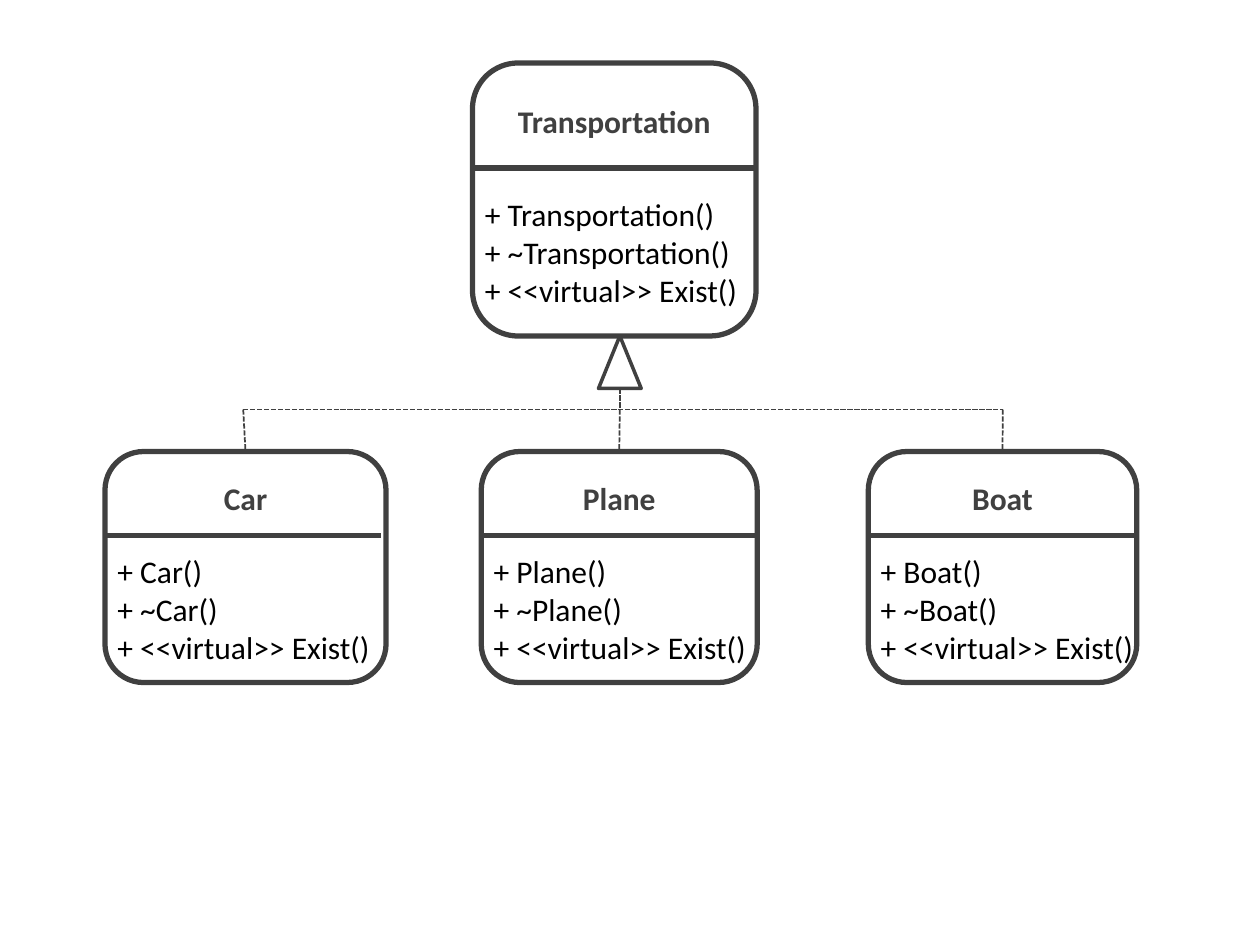
from pptx import Presentation
from pptx.dml.color import RGBColor
from pptx.enum.dml import MSO_LINE as Dash
from pptx.enum.shapes import MSO_CONNECTOR as Conn, MSO_SHAPE as Kind
from pptx.enum.text import MSO_AUTO_SIZE as Fit, PP_ALIGN as Align
from pptx.oxml.ns import qn
from pptx.util import Pt
from lxml import etree

DARK = "404040"
BLACK = "000000"


def paint(hue):
    return RGBColor.from_string(hue)


def outline(item, width):
    item.line.color.rgb = paint(DARK)
    item.line.width = Pt(width)


def add_shape(slide, kind, x, y, w, h, width):
    shape = slide.shapes.add_shape(kind, Pt(x), Pt(y), Pt(w), Pt(h))
    shape.shadow.inherit = False
    shape.fill.background()
    outline(shape, width)
    return shape


def add_line(slide, x1, y1, x2, y2, width=1, dash=Dash.SQUARE_DOT):
    line = slide.shapes.add_connector(Conn.STRAIGHT, Pt(x1), Pt(y1), Pt(x2), Pt(y2))
    outline(line, width)
    line.line.dash_style = dash
    etree.SubElement(line._element.spPr, qn("a:effectLst"))
    return line


def add_text(slide, text, x, y, w, h, hue, align, bold, wrap):
    frame = slide.shapes.add_textbox(Pt(x), Pt(y), Pt(w), Pt(h)).text_frame
    frame.word_wrap = wrap
    frame.auto_size = Fit.SHAPE_TO_FIT_TEXT
    frame.text = text
    for para in frame.paragraphs:
        para.alignment = align
        for run in para.runs:
            run.font.name = "Calibri"
            run.font.size = Pt(18)
            run.font.bold = bold
            run.font.color.rgb = paint(hue)


def add_class(slide, name, x, y, w, h, title, rule, body):
    """Draw a class box; title, rule and body are offsets from its top."""
    box = add_shape(slide, Kind.ROUNDED_RECTANGLE, x, y, w, h, 3)
    add_text(slide, name, x, y + title, w, 29, DARK, Align.CENTER, True, True)
    calls = f"+ {name}()\n+ ~{name}()\n+ <<virtual>> Exist()"
    add_text(slide, calls, x, y + body, 160.6, 72.7, BLACK, Align.LEFT, False, False)
    end = x + min(w, 157.7) if name == "Car" else x + w
    add_line(slide, x, y + rule, end, y + rule, 3, Dash.SOLID)
    return box


def main():
    deck = Presentation()
    deck.slide_width, deck.slide_height = Pt(720), Pt(540)
    slide = deck.slides.add_slide(deck.slide_layouts[6])

    # Base class
    add_class(slide, "Transportation", 270, 36, 162, 156, 18.7, 60, 72)

    # Inheritance arrow and shared branch
    mid, bus, top = 354.2, 234, 258
    add_shape(slide, Kind.ISOSCELES_TRIANGLE, mid - 12.2, 192, 24.4, 30, 2)
    add_line(slide, mid, 222, mid, bus)
    add_line(slide, 139, bus, 573, bus)

    # Derived classes, each joined to the branch
    for name, x, w, stem in (
        ("Car", 60, 160.6, 139),
        ("Plane", 275, 157.7, mid),
        ("Boat", 496.2, 153.4, 573),
    ):
        box = add_class(slide, name, x, top, w, 132, 12, 48, 54)
        add_line(slide, stem, bus, x + w / 2, top).end_connect(box, 0)

    deck.save("out.pptx")


if __name__ == "__main__":
    main()
